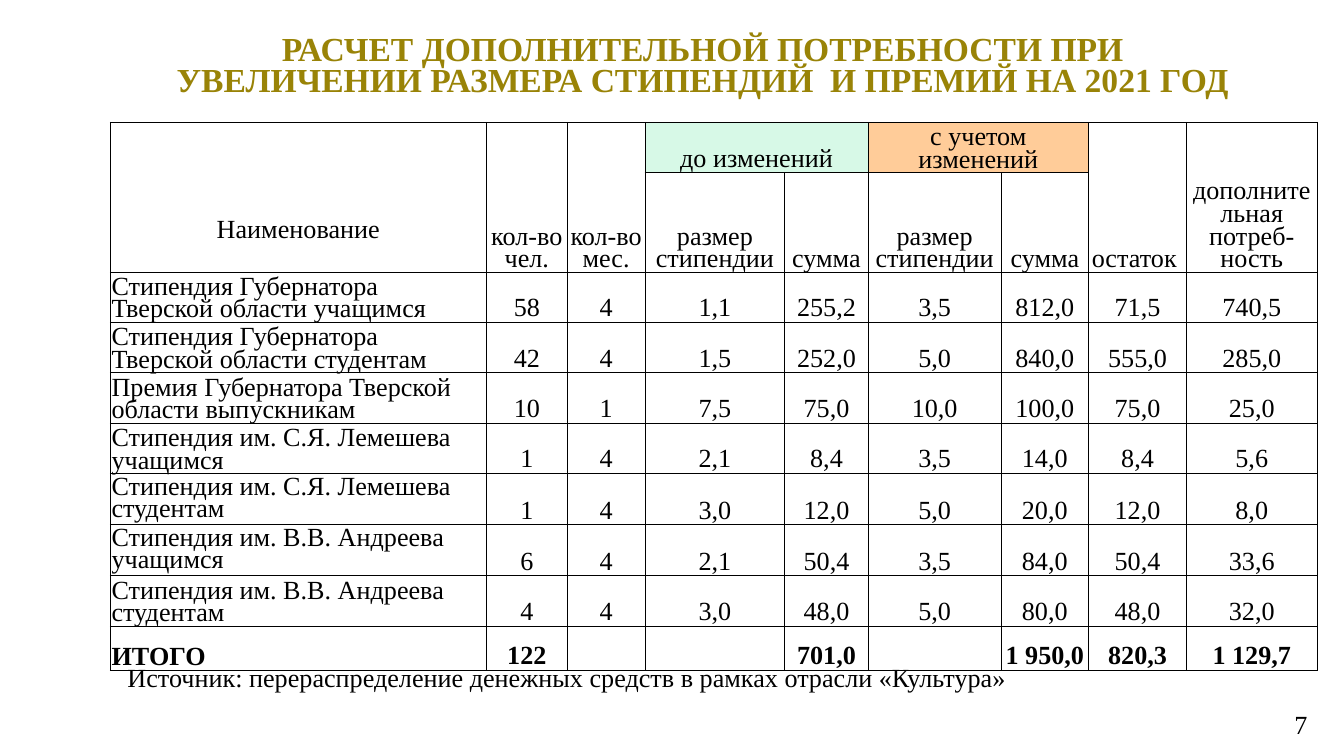
"""Build the slide with the table of extra funding for stipends and prizes."""
from lxml import etree
from pptx import Presentation
from pptx import util as u
from pptx.dml.color import RGBColor
from pptx.enum import text
from pptx.oxml import ns

FONT = "Times New Roman"
LEFT, CENTER, JUSTIFY = text.PP_ALIGN.LEFT, text.PP_ALIGN.CENTER, text.PP_ALIGN.JUSTIFY
BOTTOM, MIDDLE = text.MSO_ANCHOR.BOTTOM, text.MSO_ANCHOR.MIDDLE


def rgb(value):
    return RGBColor.from_string(value)


def write(tf, content, size=14, color="000000", bold=False, align=LEFT, spacing=1.0):
    tf.word_wrap = True
    p = tf.paragraphs[0]
    p.alignment, p.line_spacing, p.space_before = align, spacing, u.Pt(0)
    r = p.add_run()
    r.text = content
    r.font.name, r.font.size, r.font.bold = FONT, u.Pt(size), bold
    r.font.color.rgb = rgb(color)


prs = Presentation()
prs.slide_width = u.Inches(10)
prs.slide_height = u.Inches(10) * 9 // 16
s = prs.slides.add_slide(prs.slide_layouts[5])

title = s.shapes.title
title.left, title.top = u.Inches(1.16), u.Inches(0.23)
title.width, title.height = u.Inches(8.14), u.Inches(0.95)
title.fill.solid()
title.fill.fore_color.rgb = rgb("FFFFFF")
tf = title.text_frame
tf.auto_size = text.MSO_AUTO_SIZE.NONE
tf.vertical_anchor = text.MSO_ANCHOR.TOP
tf.margin_left = tf.margin_right = u.Inches(0.07)
tf.margin_top = tf.margin_bottom = u.Inches(0.04)
write(tf, "РАСЧЕТ ДОПОЛНИТЕЛЬНОЙ ПОТРЕБНОСТИ ПРИ УВЕЛИЧЕНИИ РАЗМЕРА СТИПЕНДИЙ  И ПРЕМИЙ НА 2021 ГОД",
      size=18, color="998307", bold=True, align=CENTER, spacing=0.78)

number = s.shapes.add_textbox(u.Inches(9.56), u.Inches(5.23), u.Inches(0.41), u.Inches(0.31))
tf = number.text_frame
tf.margin_left = tf.margin_right = u.Inches(0.07)
tf.margin_top = tf.margin_bottom = u.Inches(0.04)
write(tf, "7")

rows = [
    ["Наименование", "кол-во чел.", "кол-во мес.", "до изменений", "",
     "с учетом изменений", "", "остаток ", "дополнительная потреб-ность"],
    ["", "", "", "размер стипендии", "сумма", "размер стипендии", "сумма", "", ""],
    ["Стипендия Губернатора Тверской области учащимся",
     "58", "4", "1,1", "255,2", "3,5", "812,0", "71,5", "740,5"],
    ["Стипендия Губернатора Тверской области студентам",
     "42", "4", "1,5", "252,0", "5,0", "840,0", "555,0", "285,0"],
    ["Премия Губернатора Тверской области выпускникам",
     "10", "1", "7,5", "75,0", "10,0", "100,0", "75,0", "25,0"],
    ["Стипендия им. С.Я. Лемешева учащимся",
     "1", "4", "2,1", "8,4", "3,5", "14,0", "8,4", "5,6"],
    ["Стипендия им. С.Я. Лемешева студентам",
     "1", "4", "3,0", "12,0", "5,0", "20,0", "12,0", "8,0"],
    ["Стипендия им. В.В. Андреева учащимся",
     "6", "4", "2,1", "50,4", "3,5", "84,0", "50,4", "33,6"],
    ["Стипендия им. В.В. Андреева студентам",
     "4", "4", "3,0", "48,0", "5,0", "80,0", "48,0", "32,0"],
    ["ИТОГО", "122", "", "", "701,0", "", "1 950,0", "820,3", "1 129,7"],
]
widths = [2.8, 0.6, 0.58, 1.04, 0.62, 0.99, 0.65, 0.73, 0.97]
heights = [0.37, 0.74, 0.37, 0.37, 0.37, 0.37, 0.38, 0.38, 0.37, 0.33]
fills = {(0, 3): "D7F9E7", (0, 5): "FFCC99"}
total_row = len(rows) - 1

frame = s.shapes.add_table(len(rows), len(widths), u.Inches(0.82), u.Inches(0.91),
                           u.Inches(sum(widths)), u.Inches(sum(heights)))
table = frame.table
table.first_row = table.horz_banding = False
for column, width in zip(table.columns, widths):
    column.width = u.Inches(width)
for row, height in zip(table.rows, heights):
    row.height = u.Inches(height)
for j in (0, 1, 2, 7, 8):
    table.cell(0, j).merge(table.cell(1, j))
for j in (3, 5):
    table.cell(0, j).merge(table.cell(0, j + 1))

for i, values in enumerate(rows):
    for j, value in enumerate(values):
        cell = table.cell(i, j)
        cell.margin_left = cell.margin_right = cell.margin_top = u.Inches(0.01)
        cell.margin_bottom = u.Inches(0.21 if i == j == 0 else 0)
        cell.vertical_anchor = MIDDLE if j == 0 and i in (6, 7) else BOTTOM
        tcPr = cell._tc.get_or_add_tcPr()
        for side in ("a:lnL", "a:lnR", "a:lnT", "a:lnB"):
            ln = etree.SubElement(tcPr, ns.qn(side), w=str(u.Pt(0.5)))
            line_fill = etree.SubElement(ln, ns.qn("a:solidFill"))
            etree.SubElement(line_fill, ns.qn("a:srgbClr"), val="000000")
        if (i, j) in fills:
            cell.fill.solid()
            cell.fill.fore_color.rgb = rgb(fills[i, j])
        else:
            cell.fill.background()
        if value:
            tight = (i < 2 or j == 0) and value not in ("Наименование", "до изменений")
            write(cell.text_frame, value, bold=i == total_row,
                  align=LEFT if j == 0 and i > 1 else CENTER,
                  spacing=0.78 if tight else 1.0)

source = s.shapes.add_textbox(u.Inches(0.85), u.Inches(4.9), u.Inches(8.76), u.Inches(0.48))
write(source.text_frame, "Источник: перераспределение денежных средств в рамках отрасли «Культура»",
      align=JUSTIFY, spacing=0.9)

prs.save("out.pptx")
